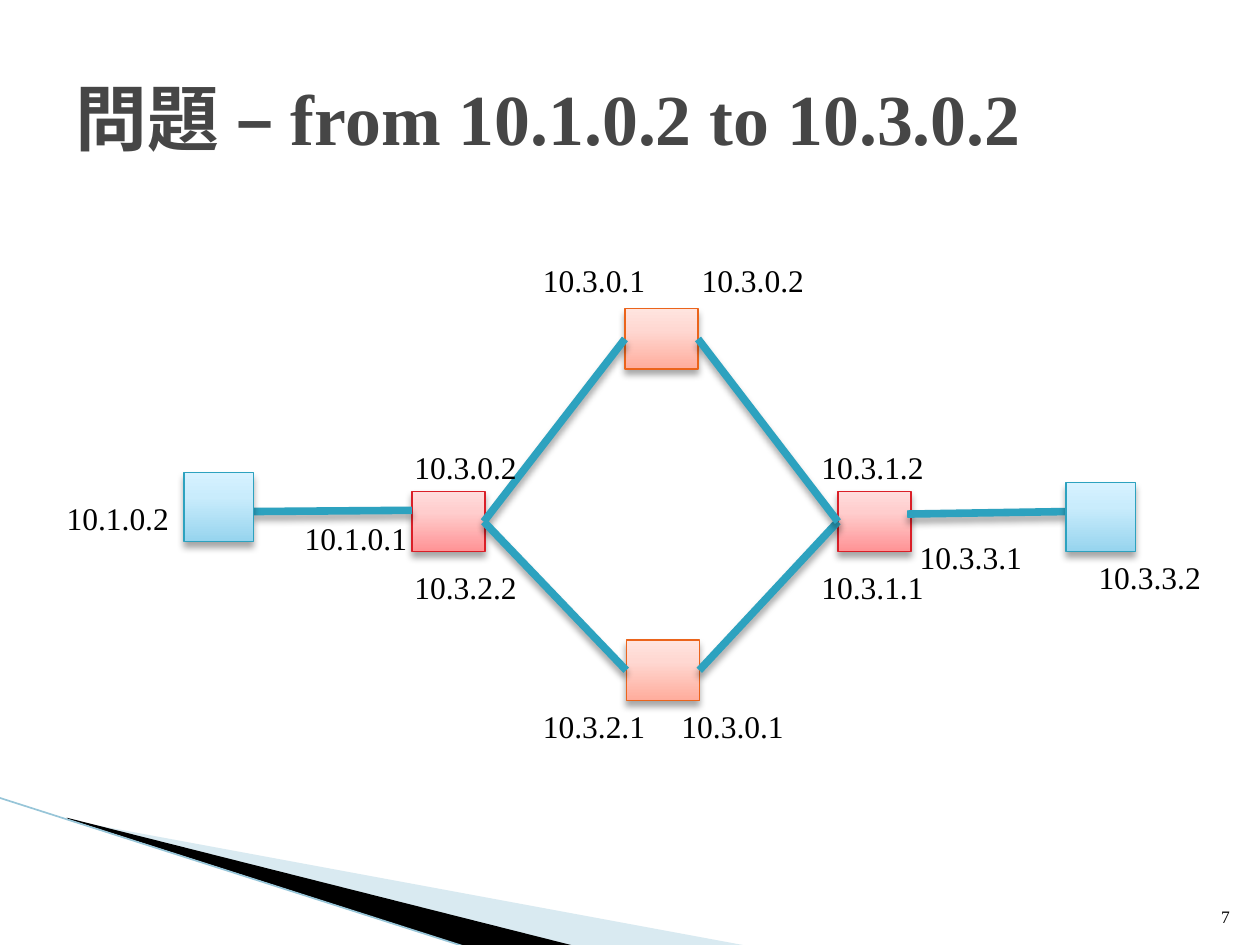
from dataclasses import dataclass

from lxml import etree
from pptx import Presentation
from pptx.dml.color import RGBColor
from pptx.enum.shapes import MSO_CONNECTOR, MSO_SHAPE
from pptx.enum.text import MSO_ANCHOR, PP_ALIGN
from pptx.oxml import parse_xml
from pptx.oxml.ns import nsdecls, qn
from pptx.util import Inches, Pt

RECTANGLE = MSO_SHAPE.RECTANGLE
STRAIGHT = MSO_CONNECTOR.STRAIGHT
LEFT, RIGHT = PP_ALIGN.LEFT, PP_ALIGN.RIGHT
TOP, MIDDLE, BOTTOM = MSO_ANCHOR.TOP, MSO_ANCHOR.MIDDLE, MSO_ANCHOR.BOTTOM


@dataclass(frozen=True)
class Theme:
    font: str = "Times New Roman"
    title_size: float = 41
    label_size: float = 18
    number_size: float = 10
    title: str = "464646"
    text: str = "000000"
    link: str = "2DA2BF"
    link_width: float = 4.33
    wedge_light: str = "A0CBDC"
    wedge_dark: str = "000000"
    wedge_edge: str = "97C5D8"
    # Outline, then gradient colours from bottom to top
    edge_router: tuple = ("DA1F28", "FF9294", "FFCDCD", "FFDCDC")
    core_router: tuple = ("EB641B", "FFAC9C", "FFD8D2", "FFE4DF")
    host: tuple = ("2DA2BF", "96D4EE", "C9ECFC", "D7F2FF")
    gradient_stops: tuple = (0, 65, 100)


class NetworkSlide:
    def __init__(self, slide, theme):
        self.slide = slide
        self.theme = theme

    def effects(self, shape, shadow=True):
        """Give a shape its soft drop shadow, or an empty effect list."""
        effect_list = etree.SubElement(shape._element.spPr, qn("a:effectLst"))
        if shadow:
            effect_list.append(parse_xml(
                f'<a:outerShdw {nsdecls("a")} blurRad="{Pt(4)}" dist="{Pt(3)}" '
                'dir="5400000" rotWithShape="0"><a:srgbClr val="000000">'
                '<a:alpha val="35000"/></a:srgbClr></a:outerShdw>'))

    def text(self, words, left, top, width, height, size, color=None,
             bold=False, align=LEFT, anchor=TOP, wrap=True):
        box = self.slide.shapes.add_textbox(
            Inches(left), Inches(top), Inches(width), Inches(height))
        frame = box.text_frame
        frame.word_wrap = wrap
        frame.vertical_anchor = anchor
        paragraph = frame.paragraphs[0]
        paragraph.alignment = align
        run = paragraph.add_run()
        run.text = words
        run.font.name = self.theme.font
        run.font.size = Pt(size)
        run.font.bold = bold
        run.font.color.rgb = RGBColor.from_string(color or self.theme.text)

    def address(self, words, left, top):
        self.text(words, left, top, 1.02, 0.4, self.theme.label_size, wrap=False)

    def node(self, left, top, width, height, palette):
        outline, *colors = palette
        box = self.slide.shapes.add_shape(
            RECTANGLE, Inches(left), Inches(top), Inches(width), Inches(height))
        box.line.color.rgb = RGBColor.from_string(outline)
        box.line.width = Pt(0.75)
        stops = "".join(
            f'<a:gs pos="{stop * 1000}"><a:srgbClr val="{color}"/></a:gs>'
            for stop, color in zip(self.theme.gradient_stops, colors))
        box._element.spPr.find(qn("a:ln")).addprevious(parse_xml(
            f'<a:gradFill {nsdecls("a")} rotWithShape="1"><a:gsLst>{stops}</a:gsLst>'
            '<a:lin ang="16200000" scaled="0"/></a:gradFill>'))
        self.effects(box)

    def line(self, start, end, color, width, shadow=True):
        connector = self.slide.shapes.add_connector(
            STRAIGHT, *(Inches(value) for value in (*start, *end)))
        connector.line.color.rgb = RGBColor.from_string(color)
        connector.line.width = Pt(width)
        self.effects(connector, shadow)

    def link(self, start, end):
        self.line(start, end, self.theme.link, self.theme.link_width)

    def wedge(self, points, color, opacity=100):
        start, *rest = [(Inches(x), Inches(y)) for x, y in points]
        builder = self.slide.shapes.build_freeform(*start)
        builder.add_line_segments(rest, close=True)
        wedge = builder.convert_to_shape()
        wedge.shadow.inherit = False
        wedge.fill.solid()
        wedge.fill.fore_color.rgb = RGBColor.from_string(color)
        wedge.line.fill.background()
        if opacity < 100:
            tint = wedge._element.spPr.find(qn("a:solidFill"))[0]
            etree.SubElement(tint, qn("a:alpha"), val=str(opacity * 1000))


def main():
    theme = Theme()
    deck = Presentation()
    deck.slide_width, deck.slide_height = Inches(10), Inches(7.5)
    page = NetworkSlide(deck.slides.add_slide(deck.slide_layouts[6]), theme)

    # Corner decoration
    page.wedge([(0.55, 6.51), (5.95, 7.51), (4.56, 7.51), (0.55, 6.5)],
               theme.wedge_light, opacity=40)
    page.wedge([(0.53, 6.49), (4.57, 7.51), (3.72, 7.52), (0.54, 6.5)],
               theme.wedge_dark)
    page.line((-0.01, 6.33), (3.71, 7.52), theme.wedge_edge, 0.95, shadow=False)

    # Slide number and title
    page.text("7", 9.46, 7.01, 0.4, 0.4, theme.number_size,
              align=RIGHT, anchor=BOTTOM)
    page.text("問題 – from 10.1.0.2 to 10.3.0.2", 0.5, 0.3, 9, 1.25,
              theme.title_size, theme.title, bold=True, anchor=MIDDLE)

    # Routers
    for left, top, palette in [
        (3.27, 3.9, theme.edge_router),
        (6.65, 3.9, theme.edge_router),
        (4.96, 2.45, theme.core_router),
        (4.97, 5.08, theme.core_router),
    ]:
        page.node(left, top, 0.58, 0.48, palette)

    # Links between routers
    west, east = (3.84, 4.14), (6.65, 4.14)
    page.link((4.96, 2.69), west)
    page.link((5.55, 5.32), east)
    page.link((5.54, 2.69), east)
    page.link((4.97, 5.32), west)

    # Hosts and their links
    page.link((3.27, 4.05), (2.01, 4.06))
    page.link((8.47, 4.06), (7.2, 4.08))
    for left, top in [(1.46, 3.75), (8.46, 3.83)]:
        page.node(left, top, 0.55, 0.55, theme.host)

    # Interface addresses
    for words, left, top in [
        ("10.3.0.1", 4.21, 2.02),
        ("10.3.0.2", 5.47, 2.02),
        ("10.3.0.2", 3.19, 3.51),
        ("10.3.2.2", 3.19, 4.46),
        ("10.3.1.2", 6.42, 3.51),
        ("10.3.1.1", 6.42, 4.46),
        ("10.3.2.1", 4.21, 5.56),
        ("10.3.0.1", 5.31, 5.56),
        ("10.1.0.2", 0.43, 3.91),
        ("10.1.0.1", 2.32, 4.07),
        ("10.3.3.1", 7.2, 4.22),
        ("10.3.3.2", 8.62, 4.38),
    ]:
        page.address(words, left, top)

    deck.save("out.pptx")


if __name__ == "__main__":
    main()
